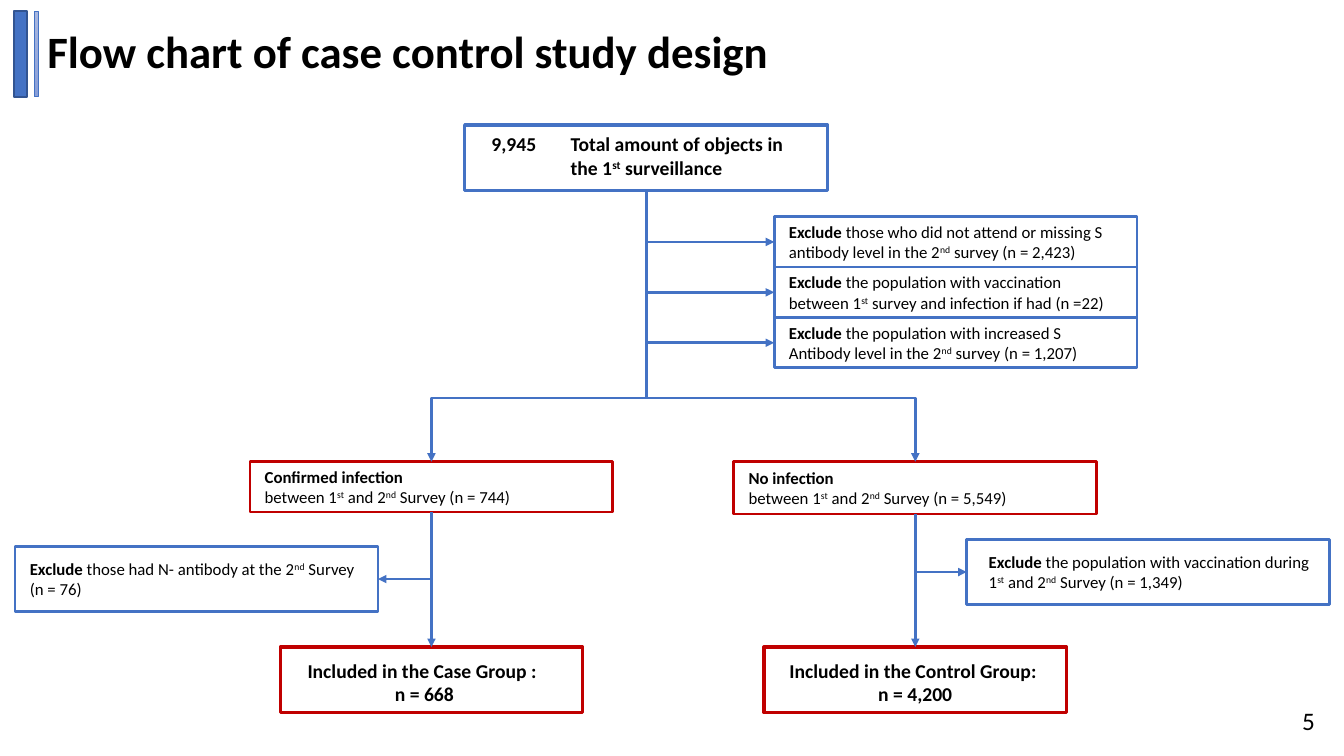
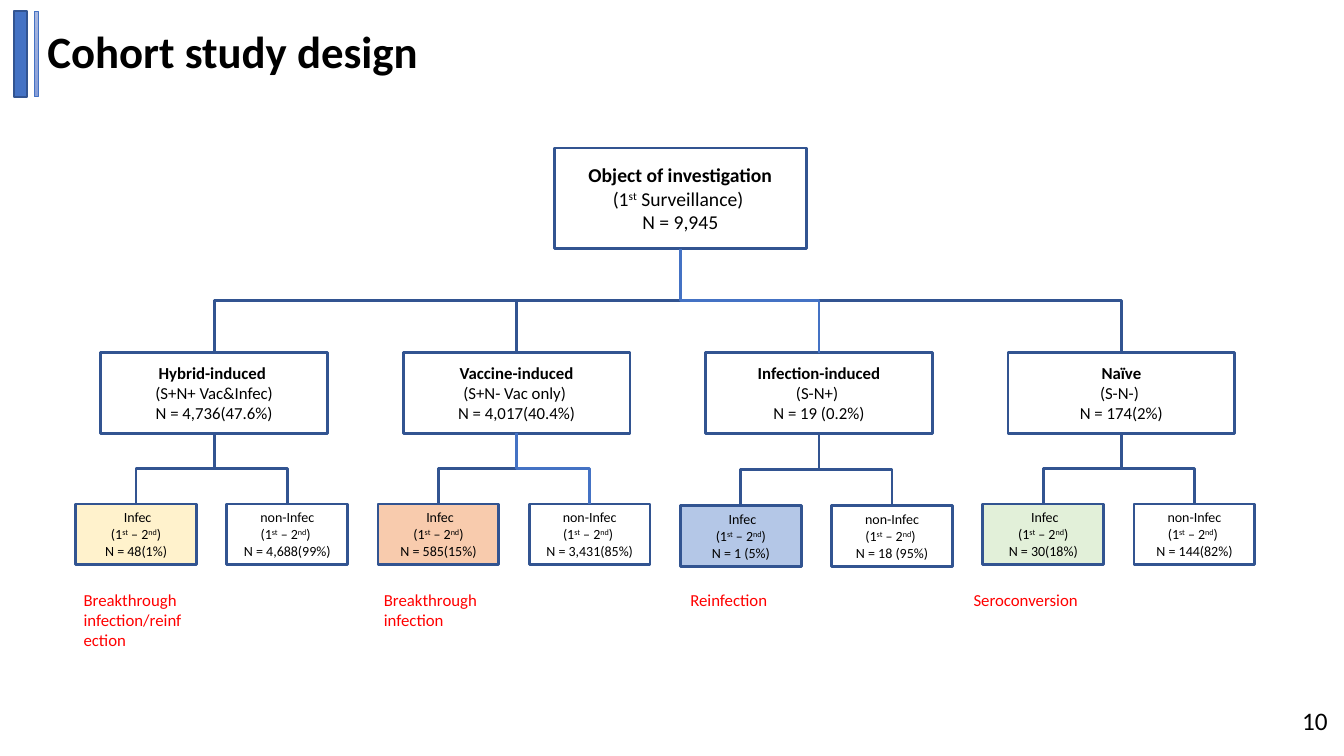
from dataclasses import dataclass

from pptx import Presentation
from pptx.dml.color import RGBColor
from pptx.enum import shapes as es, text as et
from pptx.oxml.ns import qn
from pptx.util import Pt
from lxml import etree

FONT = "Calibri"
BLACK, BLUE, NAVY, RED, NOTE = "000000", "4472C4", "325491", "C00000", "FF0000"
LEFT, MID, RIGHT = et.PP_ALIGN.LEFT, et.PP_ALIGN.CENTER, et.PP_ALIGN.RIGHT
INSET = (7.2, 3.6, 7.2, 3.6)


@dataclass
class Box:
    x: float
    y: float
    w: float
    h: float
    text: str = ""
    line: str = BLUE
    width: float = 2
    fill: str = ""
    size: float = 12
    align: int = LEFT
    inset: tuple = (10.5, 0, 10.5, 0)

    @property
    def mid(self) -> float:
        return self.x + self.w / 2

    @property
    def base(self) -> float:
        return self.y + self.h


@dataclass
class Group:
    col: int
    text: str
    infec: str
    other: str
    fill: str
    note: str
    note_x: float
    note_w: float = 86.4
    drop: float = 0
    stem: str = NAVY
    twig: str = NAVY


def rgb(code: str) -> RGBColor:
    return RGBColor.from_string(code)


def write(frame, words: str, size: float, align=LEFT, color: str = BLACK) -> None:
    """Fill a text frame; *stars* mark bold and ^carets^ superscript."""
    frame.word_wrap = True
    for i, row in enumerate(words.split("\n")):
        para = frame.paragraphs[0] if i == 0 else frame.add_paragraph()
        para.alignment = align
        font = para.font
        font.name, font.size, font.color.rgb = FONT, Pt(size), rgb(color)
        for j, part in enumerate(row.split("*")):
            for k, bit in enumerate(part.split("^")):
                if bit:
                    run = para.add_run()
                    run.text = bit
                    run.font.bold = j % 2 == 1
                    if k % 2:
                        run.font._element.set("baseline", "30000")


def label(slide, x: float, y: float, w: float, h: float, words: str,
          size: float, align=LEFT, color: str = BLACK) -> None:
    area = slide.shapes.add_textbox(Pt(x), Pt(y), Pt(w), Pt(h))
    write(area.text_frame, words, size, align, color)


def draw(slide, box: Box):
    shape = slide.shapes.add_shape(es.MSO_SHAPE.RECTANGLE, Pt(box.x), Pt(box.y),
                                   Pt(box.w), Pt(box.h))
    shape.shadow.inherit = False
    if box.fill:
        shape.fill.solid()
        shape.fill.fore_color.rgb = rgb(box.fill)
    else:
        shape.fill.background()
    shape.line.color.rgb, shape.line.width = rgb(box.line), Pt(box.width)
    if box.text:
        frame = shape.text_frame
        frame.vertical_anchor = et.MSO_ANCHOR.MIDDLE
        (frame.margin_left, frame.margin_top,
         frame.margin_right, frame.margin_bottom) = map(Pt, box.inset)
        write(frame, box.text, box.size, box.align)
    return shape


def link(slide, x1: float, y1: float, x2: float, y2: float, color: str = BLUE,
         arrow: bool = True, kind=es.MSO_CONNECTOR.STRAIGHT):
    line = slide.shapes.add_connector(kind, Pt(x1), Pt(y1), Pt(x2), Pt(y2))
    line.line.color.rgb, line.line.width = rgb(color), Pt(2)
    if arrow:
        tail = etree.SubElement(line.line._get_or_add_ln(), qn("a:tailEnd"))
        tail.set("type", "triangle")
    etree.SubElement(line._element.spPr, qn("a:effectLst"))
    return line


def elbow(slide, x1: float, y1: float, x2: float, y2: float, color: str,
          arrow: bool = False, bend: float = 0.5) -> None:
    """Run down, across and down again: an elbow turned a quarter."""
    cx, cy = (x1 + x2) / 2, (y1 + y2) / 2
    w, h = (y2 - y1) / 2, abs(x2 - x1) / 2
    right = x2 > x1
    side = w if right else -w
    line = link(slide, cx + side, cy - h, cx - side, cy + h, color, arrow,
                es.MSO_CONNECTOR.ELBOW)
    props = line._element.spPr
    props.find(qn("a:xfrm")).set("rot", str((270 if right else 90) * 60000))
    geom = props.find(qn("a:prstGeom"))
    guides = geom.find(qn("a:avLst"))
    if guides is None:
        guides = etree.SubElement(geom, qn("a:avLst"))
    guide = etree.SubElement(guides, qn("a:gd"))
    guide.set("name", "adj1")
    guide.set("fmla", f"val {round(bend * 100000)}")


def start(deck, title: str, number: str):
    """Add a slide with its title, side bars and page number."""
    slide = deck.slides.add_slide(deck.slide_layouts[5])
    head = slide.shapes.title
    head.left, head.top, head.width, head.height = map(Pt, (26.6, 9.4, 552, 57.6))
    frame = head.text_frame
    frame.vertical_anchor = et.MSO_ANCHOR.MIDDLE
    frame.auto_size = et.MSO_AUTO_SIZE.NONE
    write(frame, f"*{title}*", 32)
    frame.paragraphs[0].line_spacing = 0.9
    draw(slide, Box(10, 8, 9.4, 61.2, line=NAVY, width=1, fill=BLUE))
    thin = draw(slide, Box(24.4, 8, 2.9, 61.2, width=0.5))
    thin.fill.gradient()
    thin.fill.gradient_angle = 270
    for stop, code in zip(thin.fill.gradient_stops, ("A8B7DF", "889ED7")):
        stop.color.rgb, stop.position = rgb(code), float(code == "889ED7")
    label(slide, 923, 500.4, 36, 29, number, 18)
    return slide


def flow(deck) -> None:
    slide = start(deck, "Flow chart of case control study design", "5")
    wide, tall = 259.2, 46.8
    total = Box(332, 89.3, wide, tall,
                "*Total amount of objects in*\n*the 1^st^ surveillance*",
                width=2.5, size=14, inset=(75.6, 0, 0, 3))
    cuts = [Box(553, 154.8 + 36 * i, wide, 36, words) for i, words in enumerate((
        "*Exclude* those who did not attend or missing S antibody level in "
        "the 2^nd^ survey (n = 2,423)",
        "*Exclude* the population with vaccination between 1^st^ survey and "
        "infection if had (n =22)",
        "*Exclude *the population with increased S Antibody level in the "
        "2^nd^ survey (n = 1,207)"))]
    case = Box(178.6, 329.8, wide, 36, "*Confirmed infection*\n"
               "between 1^st^ and 2^nd^ Survey (n = 744)", RED)
    ctrl = Box(524.2, 329.8, wide, 37.4, "*No infection*\n"
               "between 1^st^ and 2^nd^ Survey (n = 5,549)", RED)
    out_l = Box(10.8, 390.2, wide, tall, "*Exclude* those had N- antibody "
                "at the 2^nd^ Survey (n = 76)")
    out_r = Box(690.5, 385.2, wide, tall, "*Exclude* the population with "
                "vaccination during 1^st^ and 2^nd^ Survey (n = 1,349)",
                inset=(15.8, 0, 5, 0))
    ends = [Box(x, 462.2, 216, tall, words, RED, 2.5, size=14, align=MID,
                inset=(0, 3, pad, 0)) for x, pad, words in (
        (200.2, 10, "*Included in the Case Group : *\n*n = 668*"),
        (545.8, 0, "*Included in the Control Group: *\n*n = 4,200*"))]
    for box in (total, *cuts, case, ctrl, out_l, out_r, *ends):
        draw(slide, box)
    label(slide, 342, 90.7, 48.2, 24.5, "*9,945*", 14, RIGHT)

    for arm, end in zip((case, ctrl), ends):
        elbow(slide, total.mid, total.base, arm.mid, arm.y, BLUE, True, 0.765)
        link(slide, arm.mid, arm.base, arm.mid, end.y)
    for cut in cuts:
        y = cut.y + cut.h / 2
        link(slide, total.mid, y, cut.x, y)
    for arm, out, x in ((case, out_l, out_l.x + wide), (ctrl, out_r, out_r.x)):
        y = out.y + out.h / 2
        link(slide, arm.mid, y, x, y)


def cohort(deck) -> None:
    slide = start(deck, "Cohort study design", "10")
    step = 216
    look = dict(line=NAVY, align=MID, inset=INSET)
    root = Box(396, 105.8, 180, 72, "*Object of investigation*\n"
               "(1^st^ Surveillance) \nN = 9,945", size=14, **look)
    groups = (
        Group(0, "*Hybrid-induced *\n(S+N+ Vac&Infec)\nN = 4,736(47.6%)",
              "48(1%)", "4,688(99%)", "FFF2CC",
              "Breakthrough infection/reinfection", 52.6),
        Group(1, "*Vaccine-induced*\n(S+N- Vac only) \nN = 4,017(40.4%)",
              "585(15%)", "3,431(85%)", "F8CBAD",
              "Breakthrough infection", 267.1, twig=BLUE),
        Group(3, "*Naïve*\n(S-N-) \nN = 174(2%)",
              "30(18%)", "144(82%)", "E2F0D9", "Seroconversion", 688.3, 108),
        Group(2, "*Infection-induced*\n(S-N+) \nN = 19 (0.2%)",
              "1 (5%)", "18 (95%)", "B4C7E7", "Reinfection", 486,
              drop=1.4, stem=BLUE),
    )
    draw(slide, root)
    for grp in groups:
        x = grp.col * step
        top = Box(72 + x, 252, 162, 57.6, grp.text, **look)
        draw(slide, top)
        elbow(slide, root.mid, root.base, top.mid, top.y, grp.stem)
        leaves = ((f" Infec\n(1^st^ – 2^nd^)\nN = {grp.infec}", grp.fill, NAVY),
                  (f"non-Infec\n(1^st^ – 2^nd^) \nN = {grp.other}", "", grp.twig))
        for i, (words, fill, twig) in enumerate(leaves):
            leaf = Box(54 + x + 108 * i, 360 + grp.drop, 86.4, 43.2, words,
                       fill=fill, size=10, **look)
            draw(slide, leaf)
            elbow(slide, top.mid, top.base, leaf.mid, leaf.y, twig)
        label(slide, grp.note_x, 417.6, grp.note_w, 22, grp.note, 12, color=NOTE)


def main() -> None:
    deck = Presentation()
    deck.slide_width, deck.slide_height = Pt(960), Pt(540)
    flow(deck)
    cohort(deck)
    deck.save("out.pptx")


if __name__ == "__main__":
    main()
